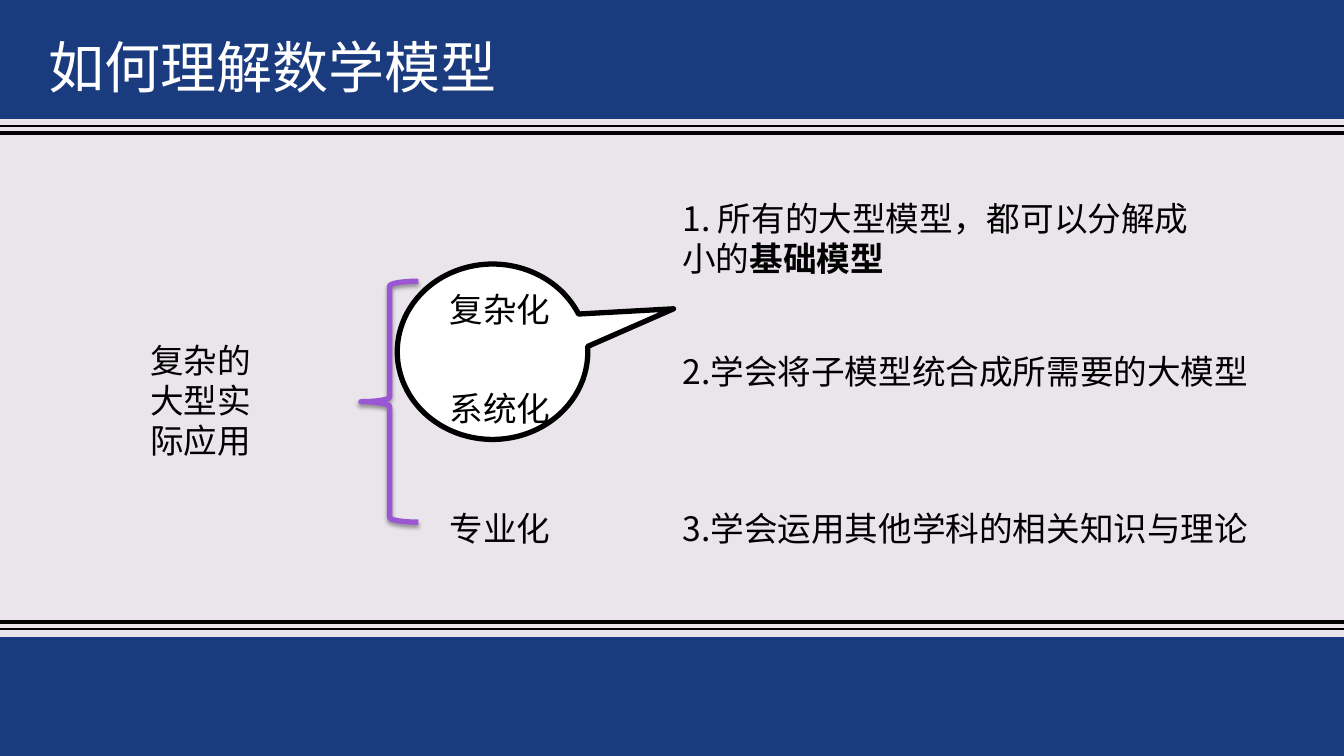
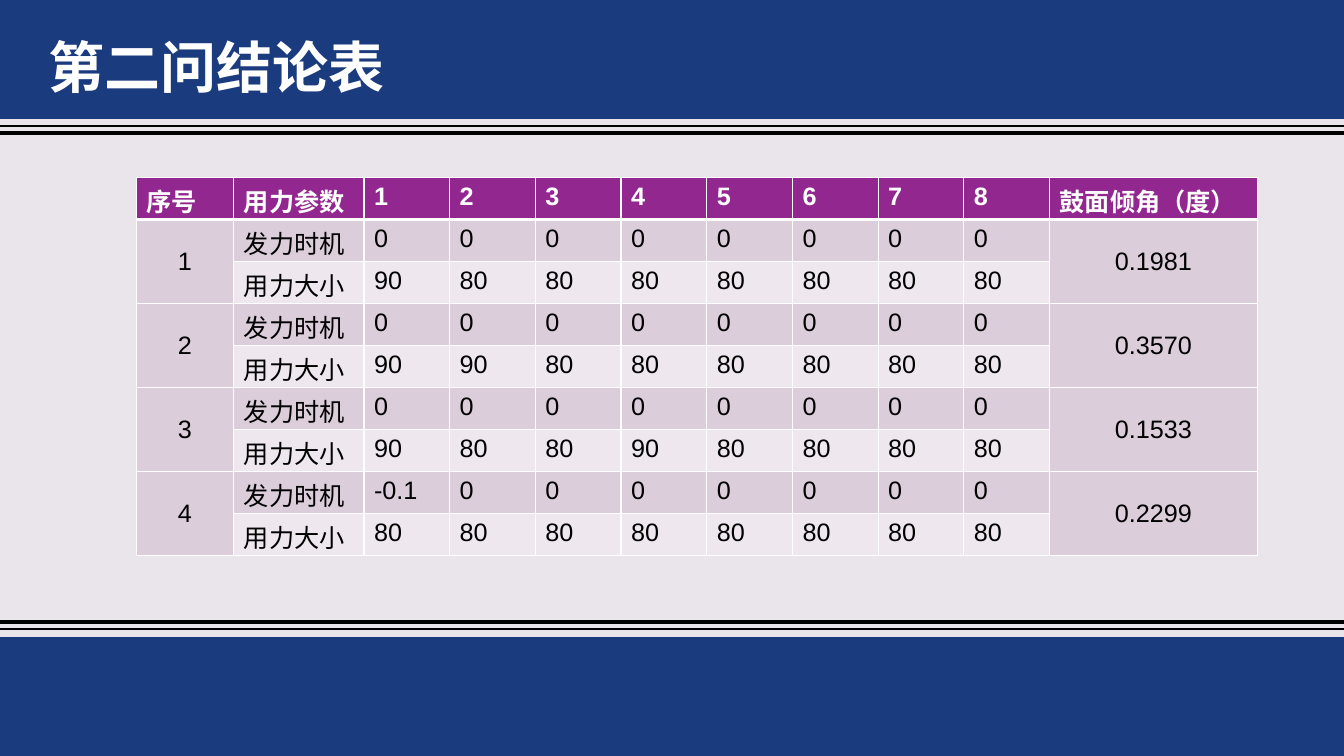
from dataclasses import dataclass

from lxml import etree
from pptx import Presentation
from pptx.dml.color import RGBColor
from pptx.enum.shapes import MSO_CONNECTOR, MSO_SHAPE
from pptx.enum.text import MSO_ANCHOR, MSO_AUTO_SIZE, PP_ALIGN
from pptx.oxml.ns import qn
from pptx.util import Inches, Pt

RECT = MSO_SHAPE.RECTANGLE
CALLOUT = MSO_SHAPE.OVAL_CALLOUT
BRACE = MSO_SHAPE.LEFT_BRACE
STRAIGHT = MSO_CONNECTOR.STRAIGHT
TOP, MIDDLE = MSO_ANCHOR.TOP, MSO_ANCHOR.MIDDLE
LEFT, CENTER = PP_ALIGN.LEFT, PP_ALIGN.CENTER
NO_AUTOSIZE = MSO_AUTO_SIZE.NONE


@dataclass(frozen=True)
class Theme:
    width: float = 13.33
    height: float = 7.5
    band_height: float = 1.18
    background: str = "EAE5EB"
    band: str = "1B3B7F"
    black: str = "000000"
    white: str = "FFFFFF"
    brace: str = "9B57D3"
    header: str = "92278F"
    dark_row: str = "DCCDDB"
    light_row: str = "EEE8EE"
    cjk: str = "Noto Sans CJK SC"
    latin: str = "Arial"
    title_size: int = 40
    body_size: int = 24
    table_size: int = 18
    line_factor: float = 1.2


THEME = Theme()


def rgb(value):
    return RGBColor.from_string(value)


def add_run(p, text, size, color, bold=False, latin=THEME.cjk):
    r = p.add_run()
    r.text = text
    r.font.size = Pt(size)
    r.font.bold = bold
    r.font.name = latin
    r.font.color.rgb = rgb(color)
    ea = etree.SubElement(r.font.fill._xPr, qn("a:ea"))
    ea.set("typeface", THEME.cjk)


def write_text(tf, runs, size, color, top_margin):
    tf.word_wrap = True
    tf.auto_size = NO_AUTOSIZE
    tf.vertical_anchor = TOP
    tf.margin_left = tf.margin_right = Inches(0.1)
    tf.margin_top, tf.margin_bottom = Inches(top_margin), 0
    p = tf.paragraphs[0]
    p.alignment = LEFT
    p.space_before = Pt(0)
    p.line_spacing = Pt(size * THEME.line_factor)
    for text, bold in runs:
        add_run(p, text, size, color, bold)


def add_text(s, box, *runs):
    sp = s.shapes.add_textbox(*map(Inches, box))
    write_text(sp.text_frame, runs, THEME.body_size, THEME.black, 0.08)


def add_shape(s, kind, box, fill=None, line=None, line_width=0):
    sp = s.shapes.add_shape(kind, *map(Inches, box))
    sp.shadow.inherit = False
    if fill:
        sp.fill.solid()
        sp.fill.fore_color.rgb = rgb(fill)
    else:
        sp.fill.background()
    if line:
        sp.line.color.rgb = rgb(line)
        sp.line.width = Pt(line_width)
    else:
        sp.line.fill.background()
    return sp


def add_rule(s, y, width):
    rule = s.shapes.add_connector(STRAIGHT, 0, Inches(y), Inches(THEME.width), Inches(y))
    rule.line.color.rgb = rgb(THEME.black)
    rule.line.width = Pt(width)
    etree.SubElement(rule.element.spPr, qn("a:effectLst"))
    return rule


def add_soft_shadow(sp):
    effects = sp.element.spPr.find(qn("a:effectLst"))
    shadow = etree.SubElement(effects, qn("a:outerShdw"), blurRad=str(Pt(3.1)),
                              dist=str(Pt(2)), dir="5400000", rotWithShape="0")
    color = etree.SubElement(shadow, qn("a:srgbClr"), val=THEME.black)
    etree.SubElement(color, qn("a:alpha"), val="38000")


def build_frame(layout, s):
    layout.background.fill.solid()
    layout.background.fill.fore_color.rgb = rgb(THEME.background)
    parts = [add_rule(s, y, width)
             for y, width in ((6.17, 3), (6.24, 1), (1.32, 3), (1.25, 1))]
    for y in (THEME.height - THEME.band_height, 0):
        parts.append(add_shape(s, RECT, (0, y, THEME.width, THEME.band_height), THEME.band))
    for number, part in enumerate(parts, 101):
        part.element.xpath(".//p:cNvPr")[0].set("id", str(number))
        layout.shapes.element.append(part.element)


def set_title(s, text, width, bold=False):
    title = s.shapes.title
    title.left, title.top = Inches(0.38), Inches(0.21)
    title.width, title.height = Inches(width), Inches(0.77)
    write_text(title.text_frame, [(text, bold)], THEME.title_size, THEME.white, 0.11)


def set_borders(cell, **widths):
    tcPr = cell._tc.get_or_add_tcPr()
    for side in "LRTB":
        ln = etree.SubElement(tcPr, qn("a:ln" + side), w=str(Pt(widths.get(side, 1))))
        fill = etree.SubElement(ln, qn("a:solidFill"))
        etree.SubElement(fill, qn("a:srgbClr"), val=THEME.white)


def format_cell(cell, text, fill, color, bold=False, centered=False, **borders):
    set_borders(cell, **borders)
    cell.fill.solid()
    cell.fill.fore_color.rgb = rgb(fill)
    cell.vertical_anchor = MIDDLE if centered else TOP
    if not centered:
        cell.margin_bottom = 0
    p = cell.text_frame.paragraphs[0]
    p.alignment = CENTER if centered else LEFT
    if text:
        add_run(p, text, THEME.table_size, color, bold, THEME.latin)


def add_results_table(s, header, groups):
    widths = [0.97, 1.29] + [0.85] * 8 + [2.06]
    rows = [header]
    for number, (timing, force, angle) in enumerate(groups, 1):
        rows.append([str(number), "发力时机", *timing, angle])
        rows.append(["", "用力大小", *force, ""])
    height = Inches(3.75)
    table = s.shapes.add_table(len(rows), len(widths), Inches(1.35), Inches(1.76),
                               Inches(sum(widths)), height).table
    table.first_row = table.horz_banding = False
    for column, width in zip(table.columns, widths):
        column.width = Inches(width)
    last = len(widths) - 1
    for i, values in enumerate(rows):
        table.rows[i].height = height // len(rows)
        for j, text in enumerate(values):
            cell = table.cell(i, j)
            outer = j in (0, last)
            if i == 0:
                format_cell(cell, text, THEME.header, THEME.white, bold=True, B=3)
                continue
            if outer and i % 2:
                cell.merge(table.cell(i + 1, j))
            fill = THEME.dark_row if outer or i % 2 else THEME.light_row
            format_cell(cell, text, fill, THEME.black, centered=outer, T=3 if i == 1 else 1)


def build_model_slide(s):
    set_title(s, "如何理解数学模型", 6.12)
    callout = add_shape(s, CALLOUT, (3.94, 2.62, 1.89, 1.74), THEME.white, THEME.black, 3.78)
    callout.adjustments[0], callout.adjustments[1] = 0.95, -0.245
    add_text(s, (1.39, 3.29, 1.24, 1.47), ("复杂的大型实际应用", False))
    brace = add_shape(s, BRACE, (3.58, 2.79, 0.57, 2.39), line=THEME.brace, line_width=3.82)
    add_soft_shadow(brace)
    for y, text in ((2.79, "复杂化"), (3.77, "系统化"), (4.96, "专业化")):
        add_text(s, (4.36, y, 1.47, 0.5), (text, False))
    add_text(s, (6.67, 1.88, 5.5, 0.91),
             ("1. 所有的大型模型，都可以分解成小的", False), ("基础模型", True))
    for y, text in ((3.4, "2.学会将子模型统合成所需要的大模型"),
                    (4.96, "3.学会运用其他学科的相关知识与理论")):
        add_text(s, (6.67, y, 6.02, 0.5), (text, False))


def build_results_slide(s):
    set_title(s, "第二问结论表", 4.76, bold=True)
    header = ["序号", "用力参数", *"12345678", "鼓面倾角（度）"]
    zeros = ["0"] * 8
    groups = [
        (zeros, ["90"] + ["80"] * 7, "0.1981"),
        (zeros, ["90"] * 2 + ["80"] * 6, "0.3570"),
        (zeros, ["90", "80", "80", "90"] + ["80"] * 4, "0.1533"),
        (["-0.1"] + ["0"] * 7, ["80"] * 8, "0.2299"),
    ]
    add_results_table(s, header, groups)


def main():
    prs = Presentation()
    prs.slide_width, prs.slide_height = Inches(THEME.width), Inches(THEME.height)
    layout = prs.slide_layouts[5]
    model, results = (prs.slides.add_slide(layout) for _ in range(2))
    build_frame(layout, model)
    build_model_slide(model)
    build_results_slide(results)
    prs.save("out.pptx")


if __name__ == "__main__":
    main()
